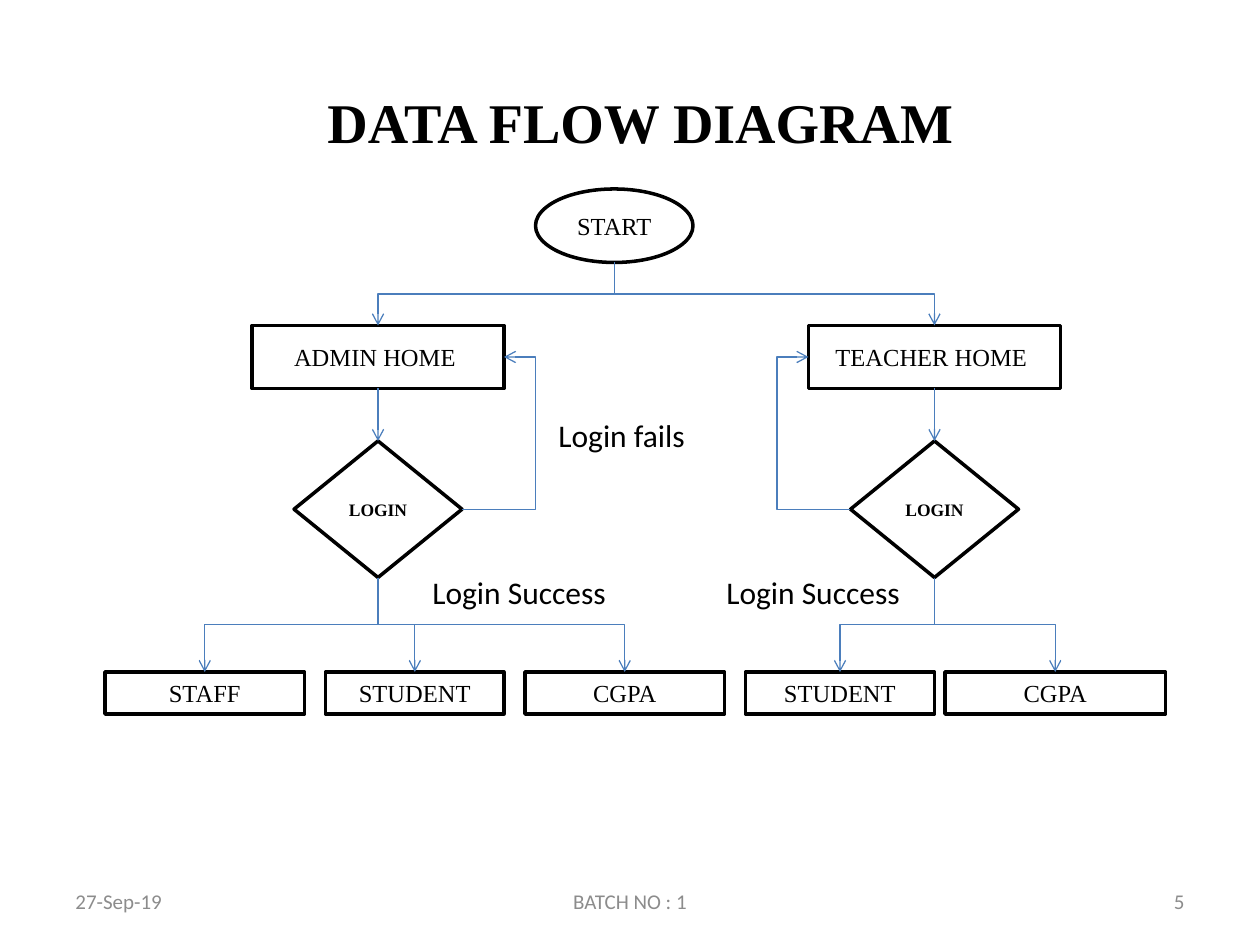
"""Builds the data flow diagram slide on a grid of 120 columns and 90 rows."""
from lxml import etree
from pptx import Presentation
from pptx import util as u
from pptx.dml.color import RGBColor
from pptx.enum import shapes, text
from pptx.oxml.ns import qn

COLOURS = {"ink": "000000", "paper": "FFFFFF", "arrow": "4B7EBC", "footer": "8C8C8C"}
SERIF, SANS = "Times New Roman", "Calibri"
TOP, LEFT, BOTTOM, RIGHT = range(4)
ALIGN = text.PP_ALIGN


def colour(name):
    return RGBColor.from_string(COLOURS[name])


def write(frame, words, font=SERIF, size=14, bold=False, ink="ink", align=ALIGN.CENTER,
          anchor=text.MSO_ANCHOR.MIDDLE, wrap=True):
    frame.word_wrap = wrap
    frame.vertical_anchor = anchor
    paragraph = frame.paragraphs[0]
    paragraph.alignment = align
    run = paragraph.add_run()
    run.text = words
    run.font.name, run.font.size, run.font.bold = font, u.Pt(size), bold
    run.font.color.rgb = colour(ink)


class Diagram:
    def __init__(self, presentation, columns=120, rows=90):
        self.column = presentation.slide_width / columns
        self.row = presentation.slide_height / rows
        self.slide = presentation.slides.add_slide(presentation.slide_layouts[5])

    def place(self, left, top, width, height):
        return (round(left * self.column), round(top * self.row),
                round(width * self.column), round(height * self.row))

    def title(self, words, *box):
        title = self.slide.shapes.title
        title.left, title.top, title.width, title.height = self.place(*box)
        write(title.text_frame, words, size=32, bold=True)

    def node(self, words, *box, kind=shapes.MSO_SHAPE.RECTANGLE, **style):
        shape = self.slide.shapes.add_shape(kind, *self.place(*box))
        shape.shadow.inherit = False
        shape.fill.solid()
        shape.fill.fore_color.rgb = colour("paper")
        shape.line.color.rgb = colour("ink")
        shape.line.width = u.Pt(2)
        write(shape.text_frame, words, **style)
        return shape

    def label(self, words, *box, **style):
        shape = self.slide.shapes.add_textbox(*self.place(*box))
        write(shape.text_frame, words, font=SANS, **style)

    def connector(self, kind, *ends):
        connector = self.slide.shapes.add_connector(kind, *ends)
        connector.line.color.rgb = colour("arrow")
        connector.line.width = u.Pt(0.75)
        etree.SubElement(connector.line._get_or_add_ln(), qn("a:tailEnd"), type="arrow")
        etree.SubElement(connector._element.spPr, qn("a:effectLst"))
        return connector

    def arrow(self, upper, lower):
        connector = self.connector(shapes.MSO_CONNECTOR.STRAIGHT, 0, 0, 0, 0)
        connector.begin_connect(upper, BOTTOM)
        connector.end_connect(lower, TOP)

    def branch(self, parent, child):
        """Draws an elbow that leaves downwards, as a turned horizontal elbow."""
        start = parent.left + parent.width // 2
        end = child.left + child.width // 2
        fall = child.top - parent.top - parent.height
        spread = abs(end - start)
        left = (start + end - fall) // 2
        top = child.top - (fall + spread) // 2
        connector = self.connector(shapes.MSO_CONNECTOR.ELBOW, left, top,
                                   left + fall, top + spread)
        frame = connector._element.spPr.find(qn("a:xfrm"))
        frame.set("rot", "16200000" if end > start else "5400000")
        if end > start:
            frame.set("flipH", "1")

    def retry(self, login, home, side):
        """Draws the elbow from a login back to its home, bulging outwards."""
        connector = self.connector(shapes.MSO_CONNECTOR.ELBOW, 0, 0, 0, 0)
        connector.begin_connect(login, side)
        connector.end_connect(home, side)
        guides = connector._element.spPr.find(qn("a:prstGeom")).get_or_add_avLst()
        etree.SubElement(guides, qn("a:gd"), name="adj1", fmla="val 175000")


def main():
    presentation = Presentation()
    presentation.slide_width, presentation.slide_height = u.Inches(10), u.Inches(7.5)
    diagram = Diagram(presentation)
    diagram.title("DATA FLOW DIAGRAM", 10, 7, 102, 9)
    start = diagram.node("START", 51, 18, 15, 7, kind=shapes.MSO_SHAPE.OVAL)

    flows = [
        ("ADMIN HOME ", 24, RIGHT, [("STAFF", 10, 19), ("STUDENT", 31, 17), ("CGPA", 50, 19)]),
        ("TEACHER HOME ", 77, LEFT, [("STUDENT", 71, 18), ("CGPA", 90, 21)]),
    ]
    for name, left, side, pages in flows:
        home = diagram.node(name, left, 31, 24, 6)
        login = diagram.node("LOGIN", left + 4, 42, 16, 13, size=10, bold=True,
                             kind=shapes.MSO_SHAPE.DIAMOND)
        diagram.branch(start, home)
        diagram.arrow(home, login)
        diagram.retry(login, home, side)
        for page, page_left, width in pages:
            diagram.branch(login, diagram.node(page, page_left, 64, width, 4))

    outcomes = [("Login fails", 52, 39, 15, True), ("Login Success", 40, 54, 19.2, False),
                ("Login Success", 68, 54, 19.2, False)]
    for words, left, top, width, wrap in outcomes:
        diagram.label(words, left, top, width, 4.8, size=18, align=ALIGN.LEFT,
                      anchor=text.MSO_ANCHOR.TOP, wrap=wrap)

    footers = [("27-Sep-19", 6, 28, ALIGN.LEFT), ("BATCH NO : 1", 41, 38, ALIGN.CENTER),
               ("5", 86, 28, ALIGN.RIGHT)]
    for words, left, width, align in footers:
        diagram.label(words, left, 83.4, width, 4.8, size=12, ink="footer", align=align)
    presentation.save("out.pptx")


if __name__ == "__main__":
    main()
